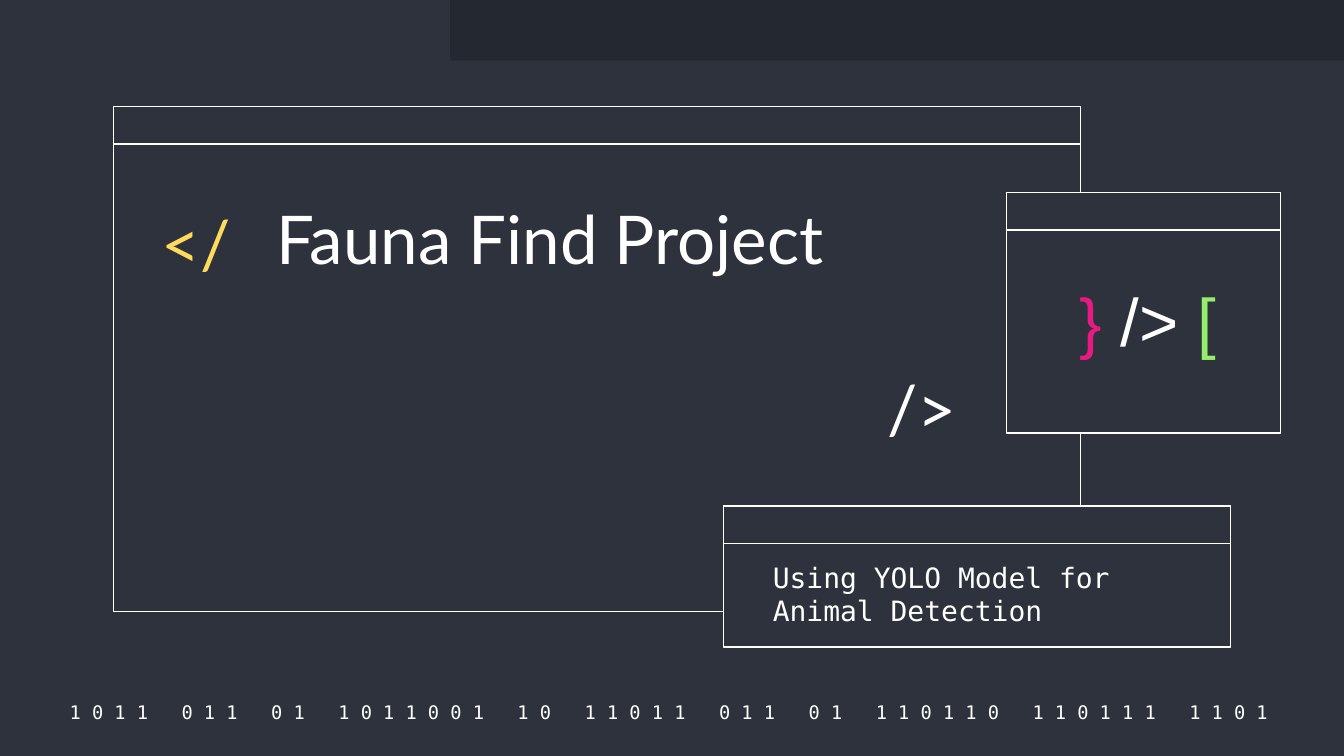
from dataclasses import dataclass

from pptx import Presentation
from pptx.dml.color import RGBColor
from pptx.enum.shapes import MSO_SHAPE
from pptx.enum.text import MSO_ANCHOR, PP_ALIGN
from pptx.util import Inches, Pt

RECTANGLE = MSO_SHAPE.RECTANGLE
TOP, MIDDLE = MSO_ANCHOR.TOP, MSO_ANCHOR.MIDDLE
LEFT, CENTER = PP_ALIGN.LEFT, PP_ALIGN.CENTER
SLIDE_WIDTH = Inches(10)
SLIDE_HEIGHT = SLIDE_WIDTH * 9 // 16
COLUMNS, ROWS = 100, 56.25


@dataclass(frozen=True)
class Theme:
    """Colours, fonts and sizes of the slide."""

    background: str = "2D323C"
    band: str = "242830"
    white: str = "FFFFFF"
    yellow: str = "FFDB5D"
    pink: str = "E81981"
    green: str = "94EE6B"
    heading_font: str = "Lato"
    code_font: str = "DejaVu Sans Mono"
    symbol_font: str = "Arial"
    heading_size: float = 36
    body_size: float = 15
    binary_size: float = 10
    outline: float = 0.75
    title_bar_rows: float = 2.8
    inset: float = 0.1
    heading_spacing: float = 0.9


class SlideBuilder:
    """Draws styled elements on the current slide, placed by grid columns and rows."""

    def __init__(self, slide, theme):
        """Keep the slide and theme and paint the background."""
        self.slide = slide
        self.theme = theme
        fill = slide.background.fill
        fill.solid()
        fill.fore_color.rgb = RGBColor.from_string(theme.background)

    def place(self, column, row, columns, rows):
        """Turn grid units into slide lengths."""
        width, height = SLIDE_WIDTH / COLUMNS, SLIDE_HEIGHT / ROWS
        return (round(column * width), round(row * height),
                round(columns * width), round(rows * height))

    def rectangle(self, shapes, cells, color, outlined=False):
        """Add a filled rectangle, outlined on request."""
        shape = shapes.add_shape(RECTANGLE, *self.place(*cells))
        shape.shadow.inherit = False
        shape.fill.solid()
        shape.fill.fore_color.rgb = RGBColor.from_string(color)
        if outlined:
            shape.line.color.rgb = RGBColor.from_string(self.theme.white)
            shape.line.width = Pt(self.theme.outline)
        else:
            shape.line.fill.background()

    def band(self, cells):
        """Add the dark band at the slide's edge."""
        self.rectangle(self.slide.shapes, cells, self.theme.band)

    def window(self, column, row, columns, rows):
        """Add a grouped window frame with its title bar."""
        shapes = self.slide.shapes.add_group_shape().shapes
        for height in (rows, self.theme.title_bar_rows):
            self.rectangle(shapes, (column, row, columns, height),
                           self.theme.background, outlined=True)

    def text(self, cells, runs, font, size, align=LEFT, anchor=TOP, spacing=1.0):
        """Add a text box from (text, colour) runs and return its paragraph."""
        frame = self.slide.shapes.add_textbox(*self.place(*cells)).text_frame
        frame.word_wrap = True
        frame.vertical_anchor = anchor
        inset = Inches(self.theme.inset)
        frame.margin_left = frame.margin_right = inset
        frame.margin_top = frame.margin_bottom = inset
        paragraph = frame.paragraphs[0]
        paragraph.alignment = align
        paragraph.line_spacing = spacing
        for content, color in runs:
            run = paragraph.add_run()
            run.text = content
            run.font.name = font
            run.font.size = Pt(size)
            run.font.color.rgb = RGBColor.from_string(color)
        return paragraph

    def heading(self, cells, runs, font=None, **options):
        """Add large text in the heading style."""
        self.text(cells, runs, font or self.theme.heading_font,
                  self.theme.heading_size,
                  spacing=self.theme.heading_spacing, **options)

    def body(self, cells, content):
        """Add monospaced body text."""
        self.text(cells, [(content, self.theme.white)], self.theme.code_font,
                  self.theme.body_size, anchor=MIDDLE)

    def binary(self, cells, groups):
        """Add spaced digits with wider gaps between the groups."""
        runs = []
        for group in groups.split():
            runs += [(" ".join(group), self.theme.white), (" ", self.theme.white)]
        size = self.theme.binary_size
        paragraph = self.text(cells, runs[:-1], self.theme.code_font, size,
                              align=CENTER, anchor=MIDDLE)
        for gap in paragraph.runs[1::2]:
            gap.font._element.set("spc", str(round(size * 120)))


def main():
    """Build and save the title slide."""
    presentation = Presentation()
    presentation.slide_width, presentation.slide_height = SLIDE_WIDTH, SLIDE_HEIGHT
    theme = Theme()
    slide = presentation.slides.add_slide(presentation.slide_layouts[6])
    builder = SlideBuilder(slide, theme)

    builder.binary((3.4, 52, 92.7, 2),
                   "1011 011 01 1011001 10 11011 011 01 110110 110111 1101")
    builder.band((33.5, 0, 66.5, 4.5))
    for window in ((8.43, 7.93, 71.95, 37.6), (53.85, 37.64, 37.7, 10.5),
                   (74.9, 14.33, 20.4, 17.9)):
        builder.window(*window)

    builder.heading((11.02, 15.15, 7.7, 6.6), [("</", theme.yellow)], anchor=MIDDLE)
    builder.heading((65.04, 27.45, 7.7, 6.6), [("/>", theme.white)], anchor=MIDDLE)
    builder.heading((78.75, 20.5, 13.3, 8.2),
                    [("}", theme.pink), (" /> ", theme.white), ("[", theme.green)],
                    font=theme.symbol_font, align=CENTER)
    builder.heading((19.6, 14.35, 45.4, 18.3), [("Fauna Find Project", theme.white)])
    builder.body((56.52, 41.27, 33.3, 5.8), "Using YOLO Model for Animal Detection")

    presentation.save("out.pptx")


if __name__ == "__main__":
    main()
